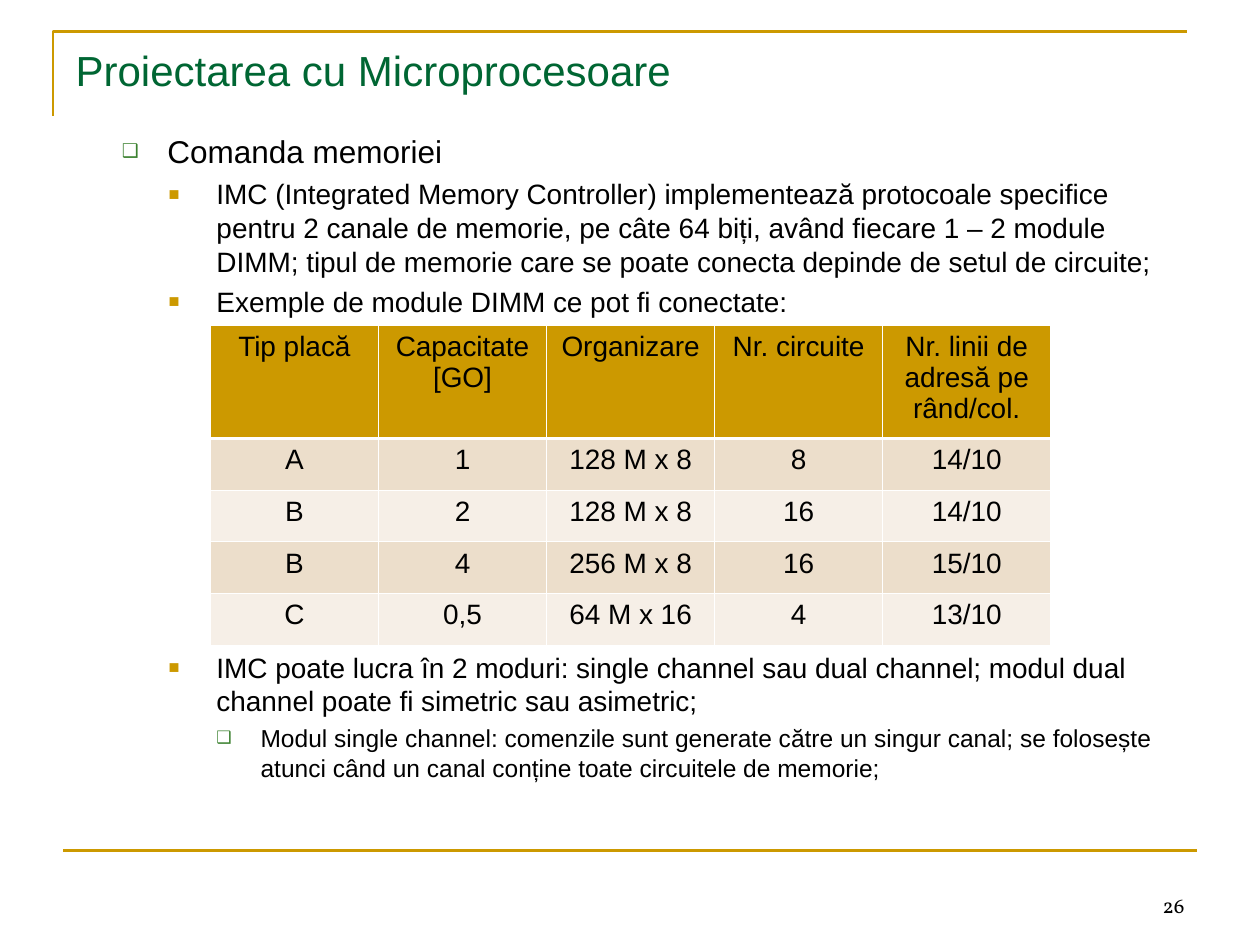
from lxml.etree import SubElement
from pptx import Presentation
from pptx.dml.color import RGBColor
from pptx.enum.shapes import MSO_CONNECTOR as Connector
from pptx.enum.text import MSO_ANCHOR as Anchor, PP_ALIGN as Align
from pptx.oxml.ns import qn
from pptx.util import Inches, Pt

GOLD, GREEN, LEAF = "CC9900", "006633", "3B812F"
BLACK, WHITE = "000000", "FFFFFF"
BANDS = ("ECDECB", "F6EFE7")
LEADING = 1.2
TABLE_GAP = 189.6

LEVELS = {
    1: dict(size=18, left=0.73, hanging=0.36, before=0, bullet=("❑", LEAF, 60)),
    2: dict(size=16, left=1.12, hanging=0.38, before=4, bullet=("■", GOLD, 65)),
    3: dict(size=14, left=1.47, hanging=0.35, before=3.5, bullet=("❑", LEAF, 70)),
}
POINTS = [
    (1, "Comanda memoriei", {}),
    (2, "IMC (Integrated Memory Controller) implementează protocoale specifice "
        "pentru 2 canale de memorie, pe câte 64 biți, având fiecare 1 – 2 module "
        "DIMM; tipul de memorie care se poate conecta depinde de setul de circuite;", {}),
    (2, "Exemple de module DIMM ce pot fi conectate:", {}),
    (2, "IMC poate lucra în 2 moduri: single channel sau dual channel; modul dual "
        "channel poate fi simetric sau asimetric;", dict(before=TABLE_GAP)),
    (3, "Modul single channel: comenzile sunt generate către un singur canal; se "
        "folosește atunci când un canal conține toate circuitele de memorie;", {}),
]
MODULES = [
    ("Tip placă", "Capacitate [GO]", "Organizare", "Nr. circuite",
     "Nr. linii de adresă pe rând/col."),
    ("A", "1", "128 M x 8", "8", "14/10"),
    ("B", "2", "128 M x 8", "16", "14/10"),
    ("B", "4", "256 M x 8", "16", "15/10"),
    ("C", "0,5", "64 M x 16", "4", "13/10"),
]


def rgb(value):
    """Turn a hex string into a colour."""
    return RGBColor.from_string(value)


def box(*lengths):
    """Measure left, top, width and height on the one-inch slide grid."""
    return [Inches(length) for length in lengths]


def add_bullet(paragraph, left, hanging, character, color, percent):
    """Give a paragraph a hanging indent and a coloured bullet."""
    properties = paragraph._p.get_or_add_pPr()
    properties.set("marL", str(Inches(left)))
    properties.set("indent", str(-Inches(hanging)))
    bullet_color = SubElement(properties, qn("a:buClr"))
    SubElement(bullet_color, qn("a:srgbClr"), val=color)
    SubElement(properties, qn("a:buSzPct"), val=str(percent * 1000))
    SubElement(properties, qn("a:buFont"), typeface="Arial")
    SubElement(properties, qn("a:buChar"), char=character)


def write(frame, text, size=16, font="Arial", color=BLACK, align=Align.LEFT,
          before=0, leading=None, left=0, hanging=0, bullet=None):
    """Add one formatted paragraph to a text frame."""
    paragraph = frame.add_paragraph() if frame.text else frame.paragraphs[0]
    paragraph.alignment = align
    paragraph.space_before = Pt(before)
    if leading:
        paragraph.line_spacing = Pt(size * leading)
    if bullet:
        add_bullet(paragraph, left, hanging, *bullet)
    run = paragraph.add_run()
    run.text = text
    run.font.size = Pt(size)
    run.font.name = font
    run.font.color.rgb = rgb(color)


def add_text_box(slide, area, anchor=Anchor.TOP):
    """Add a wrapping text box and return its text frame."""
    frame = slide.shapes.add_textbox(*box(*area)).text_frame
    frame.word_wrap = True
    frame.vertical_anchor = anchor
    return frame


def style_line(line):
    """Draw a line in the gold of the frame."""
    line.color.rgb = rgb(GOLD)
    line.width = Pt(1.5)


def add_frame_lines(slide):
    """Draw the corner above the title and the rule above the footer."""
    builder = slide.shapes.build_freeform(*box(0.42, 0.92))
    builder.add_line_segments([box(0.42, 0.25), box(9.42, 0.25)], close=False)
    corner = builder.convert_to_shape()
    corner.fill.background()
    corner.shadow.inherit = False
    style_line(corner.line)
    rule = slide.shapes.add_connector(Connector.STRAIGHT, *box(0.5, 6.75, 9.5, 6.75))
    style_line(rule.line)
    SubElement(rule._element.spPr, qn("a:effectLst"))


def add_title(slide, text):
    """Place and fill the title placeholder."""
    title = slide.shapes.title
    title.left, title.top, title.width, title.height = box(0.5, 0.3, 9, 0.61)
    title.text_frame.vertical_anchor = Anchor.TOP
    write(title.text_frame, text, size=24, color=GREEN, leading=LEADING)


def add_border(cell, side, width):
    """Draw a white border on one side of a cell."""
    line = SubElement(cell._tc.get_or_add_tcPr(), qn(f"a:ln{side}"), w=str(Pt(width)))
    fill = SubElement(line, qn("a:solidFill"))
    SubElement(fill, qn("a:srgbClr"), val=WHITE)


def add_module_table(slide):
    """Add the table of memory modules with a gold header and banded rows."""
    table = slide.shapes.add_table(
        len(MODULES), len(MODULES[0]), *box(1.67, 2.58, 6.67, 2.54)).table
    table.first_row = table.horz_banding = False
    for index, values in enumerate(MODULES):
        table.rows[index].height = Inches(0.41 if index else 0.9)
        for column, value in enumerate(values):
            cell = table.cell(index, column)
            add_border(cell, "L", 0.45)
            add_border(cell, "R", 0.45)
            add_border(cell, "T", 1.47 if index == 1 else 0.45)
            add_border(cell, "B", 1.47 if index == 0 else 0.45)
            cell.fill.solid()
            cell.fill.fore_color.rgb = rgb(BANDS[(index - 1) % 2] if index else GOLD)
            write(cell.text_frame, value, align=Align.CENTER)


def main():
    """Build the slide and save it."""
    presentation = Presentation()
    presentation.slide_width, presentation.slide_height = box(10, 7.5)
    slide = presentation.slides.add_slide(presentation.slide_layouts[5])
    add_frame_lines(slide)
    number = add_text_box(slide, (7.17, 6.83, 2.33, 0.5), Anchor.BOTTOM)
    write(number, "26", size=12, font="Vollkorn", align=Align.RIGHT)
    add_title(slide, "Proiectarea cu Microprocesoare")
    body = add_text_box(slide, (0.5, 1, 9, 5.7))
    for level, text, changes in POINTS:
        write(body, text, leading=LEADING, **{**LEVELS[level], **changes})
    add_module_table(slide)
    presentation.save("out.pptx")


if __name__ == "__main__":
    main()
